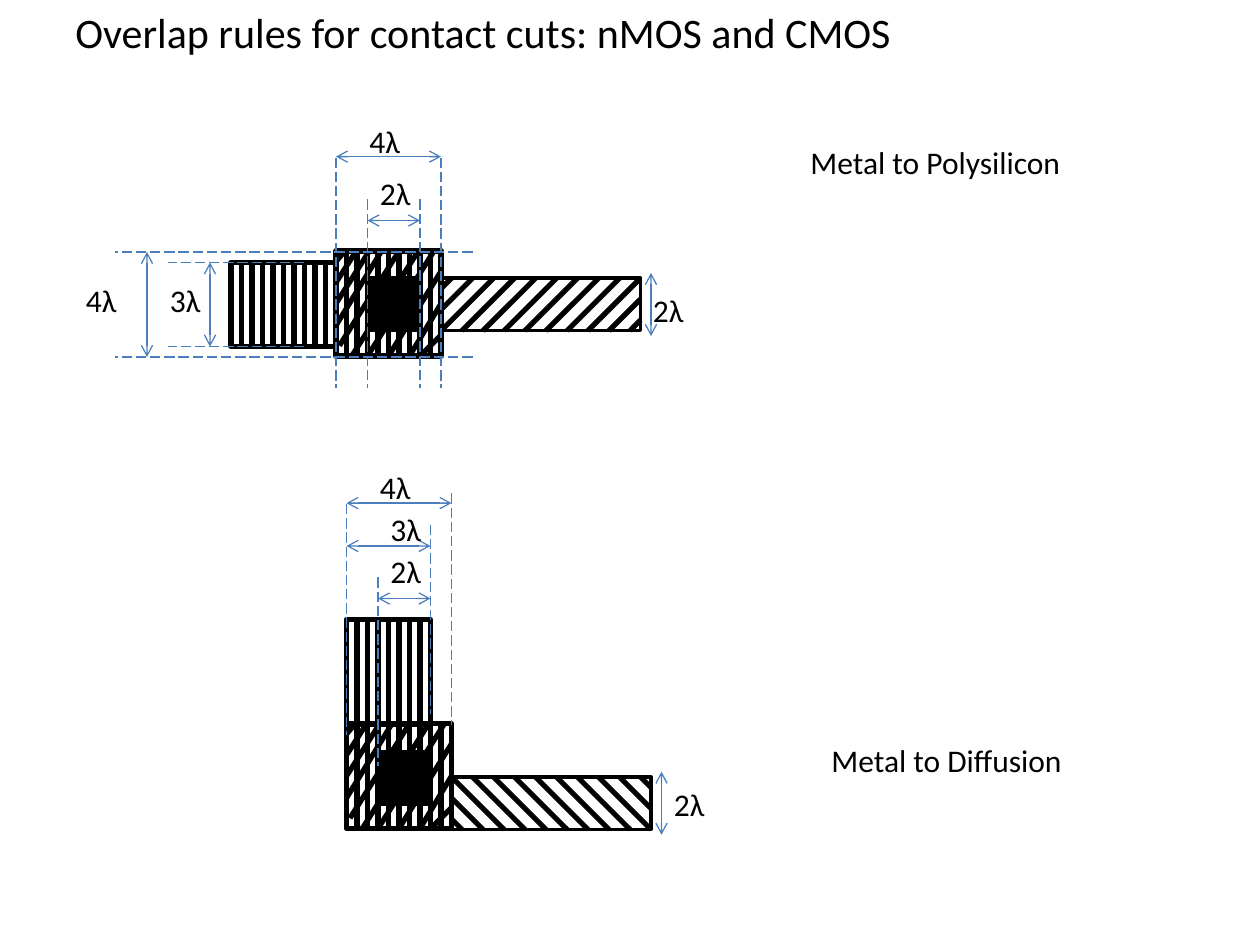
import lxml.etree
import pptx
import pptx.dml.color
import pptx.enum.dml
import pptx.enum.shapes
import pptx.oxml.ns
import pptx.util

Pt = pptx.util.Pt
THEME = {
    "font": "Calibri",
    "ink": pptx.dml.color.RGBColor(0x00, 0x00, 0x00),
    "guide": pptx.dml.color.RGBColor(0x4B, 0x7E, 0xBC),
    "title_size": Pt(24),
    "label_size": Pt(18),
    "hatch_width": Pt(3),
    "outline_width": Pt(2),
    "guide_width": Pt(0.75),
}

deck = pptx.Presentation()
deck.slide_width, deck.slide_height = Pt(720), Pt(540)
page = deck.slides.add_slide(deck.slide_layouts[6])


def draw_line(start_x, start_y, end_x, end_y, kind="hatch"):
    line = page.shapes.add_connector(
        pptx.enum.shapes.MSO_CONNECTOR.STRAIGHT,
        Pt(start_x), Pt(start_y), Pt(end_x), Pt(end_y),
    )
    hatch = kind == "hatch"
    line.line.color.rgb = THEME["ink" if hatch else "guide"]
    line.line.width = THEME["hatch_width" if hatch else "guide_width"]
    if kind == "guide":
        line.line.dash_style = pptx.enum.dml.MSO_LINE.LONG_DASH
    properties = line.line._get_or_add_ln()
    if kind == "dimension":
        for end in ("a:headEnd", "a:tailEnd"):
            lxml.etree.SubElement(properties, pptx.oxml.ns.qn(end), type="arrow")
    lxml.etree.SubElement(properties.getparent(), pptx.oxml.ns.qn("a:effectLst"))
    return line


def draw_text(words, left, top, width, height, size):
    box = page.shapes.add_textbox(Pt(left), Pt(top), Pt(width), Pt(height))
    box.text_frame.word_wrap = True
    box.text_frame.text = words
    span = box.text_frame.paragraphs[0].runs[0]
    span.font.name = THEME["font"]
    span.font.size = size
    span.font.color.rgb = THEME["ink"]


draw_text("Overlap rules for contact cuts: nMOS and CMOS", 36, 0, 546, 58, THEME["title_size"])

contact_strokes = [
    (5, 0, 0, 6), (11.5, 0, 0, 18), (19, 0, 0, 30), (26, 0, 0, 42.5), (36, 0, 2, 54),
    (47, 0, 9, 60), (56, 0, 18, 60), (48, 60, 60, 48), (42, 60, 60, 30), (30, 60, 60, 11.5),
]

cells = [
    {
        "metal": (132, 150, 60, 48),
        "wire": (252, 159, 114, 30),
        "contact": (192, 143.5, 60, 60),
        "cut": (210, 159, 30, 30),
        "rising": True,
        "guides": [
            (192, 90, 192, 222), (252, 90, 252, 222), (210, 114, 210, 222), (240, 114, 240, 222),
            (270, 144, 66, 144), (174, 150, 96, 150), (270, 204, 66, 204), (174, 198, 96, 198),
        ],
        "dimensions": [
            (192, 89.5, 252, 89.5), (210, 126, 240, 126), (120, 198, 120, 150),
            (84, 204, 84, 144), (372, 192, 372, 156),
        ],
        "labels": [
            ("4λ", 204, 66), ("2λ", 210, 96), ("3λ", 90, 157), ("4λ", 42, 157), ("2λ", 366, 163),
        ],
        "caption": ("Metal to Polysilicon", 456, 78),
    },
    {
        "metal": (198, 354, 48, 60),
        "wire": (258, 444, 114, 30),
        "contact": (198, 413.5, 60, 60),
        "cut": (215.5, 429.5, 30, 30),
        "rising": False,
        "guides": [
            (198, 288, 198, 420), (258, 282, 258, 414), (216, 330, 216, 438), (246, 300, 246, 408),
        ],
        "dimensions": [
            (198, 287.5, 258, 287.5), (198, 312, 246, 312), (216, 342, 246, 342),
            (378, 477, 378, 441),
        ],
        "labels": [("4λ", 210, 264), ("3λ", 216, 288), ("2λ", 216, 312), ("2λ", 378, 445)],
        "caption": ("Metal to Diffusion", 468, 420),
    },
]

for cell in cells:
    for layer in ("metal", "wire", "contact", "cut"):
        left, top, width, height = cell[layer]
        region = page.shapes.add_shape(
            pptx.enum.shapes.MSO_SHAPE.RECTANGLE, Pt(left), Pt(top), Pt(width), Pt(height)
        )
        region.shadow.inherit = False
        region.line.color.rgb = THEME["ink"]
        striped = layer in ("metal", "contact")
        region.line.width = THEME["hatch_width" if striped else "outline_width"]
        if layer == "cut":
            region.fill.solid()
            region.fill.fore_color.rgb = THEME["ink"]
        else:
            region.fill.background()

        if striped:
            for offset in range(6, width, 6):
                stripe = draw_line(left + offset, top, left + offset, top + height)
                if offset * 2 == width:
                    stripe.begin_connect(region, 0)
                    stripe.end_connect(region, 2)
        if layer == "contact":
            for start_x, start_y, end_x, end_y in contact_strokes:
                draw_line(left + start_x, top + start_y, left + end_x, top + end_y)
        if layer == "wire":
            base, direction = (top + height, -1) if cell["rising"] else (top, 1)
            for offset in range(-24, width, 12):
                near, far = max(offset, 0), min(offset + height, width)
                draw_line(
                    left + near, base + direction * (near - offset),
                    left + far, base + direction * (far - offset),
                )

    for guide in cell["guides"]:
        draw_line(*guide, kind="guide")
    for dimension in cell["dimensions"]:
        draw_line(*dimension, kind="dimension")
    for words, left, top in cell["labels"]:
        draw_text(words, left, top, 36, 29, THEME["label_size"])
    draw_text(*cell["caption"], 168, 29, THEME["label_size"])

deck.save("out.pptx")
